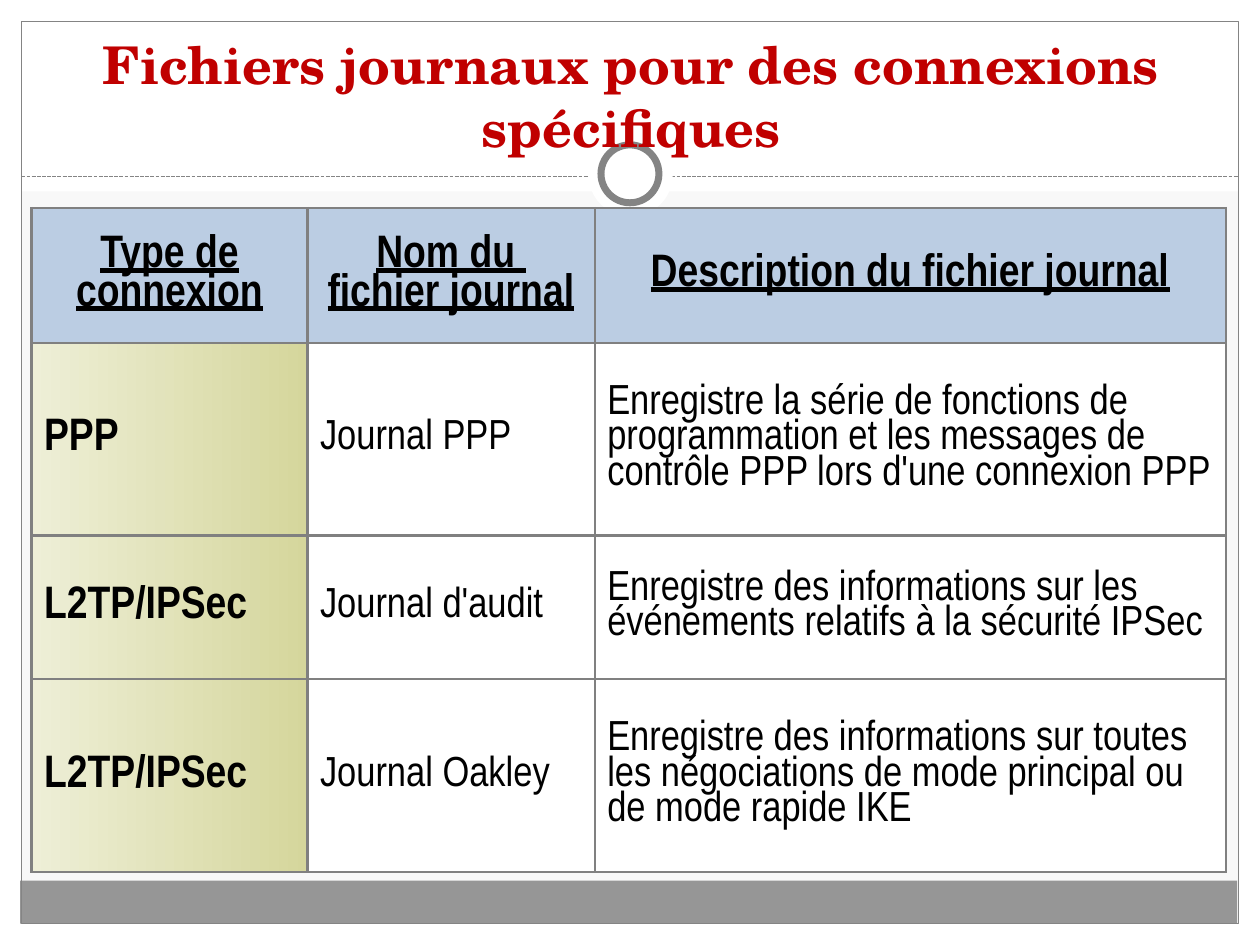
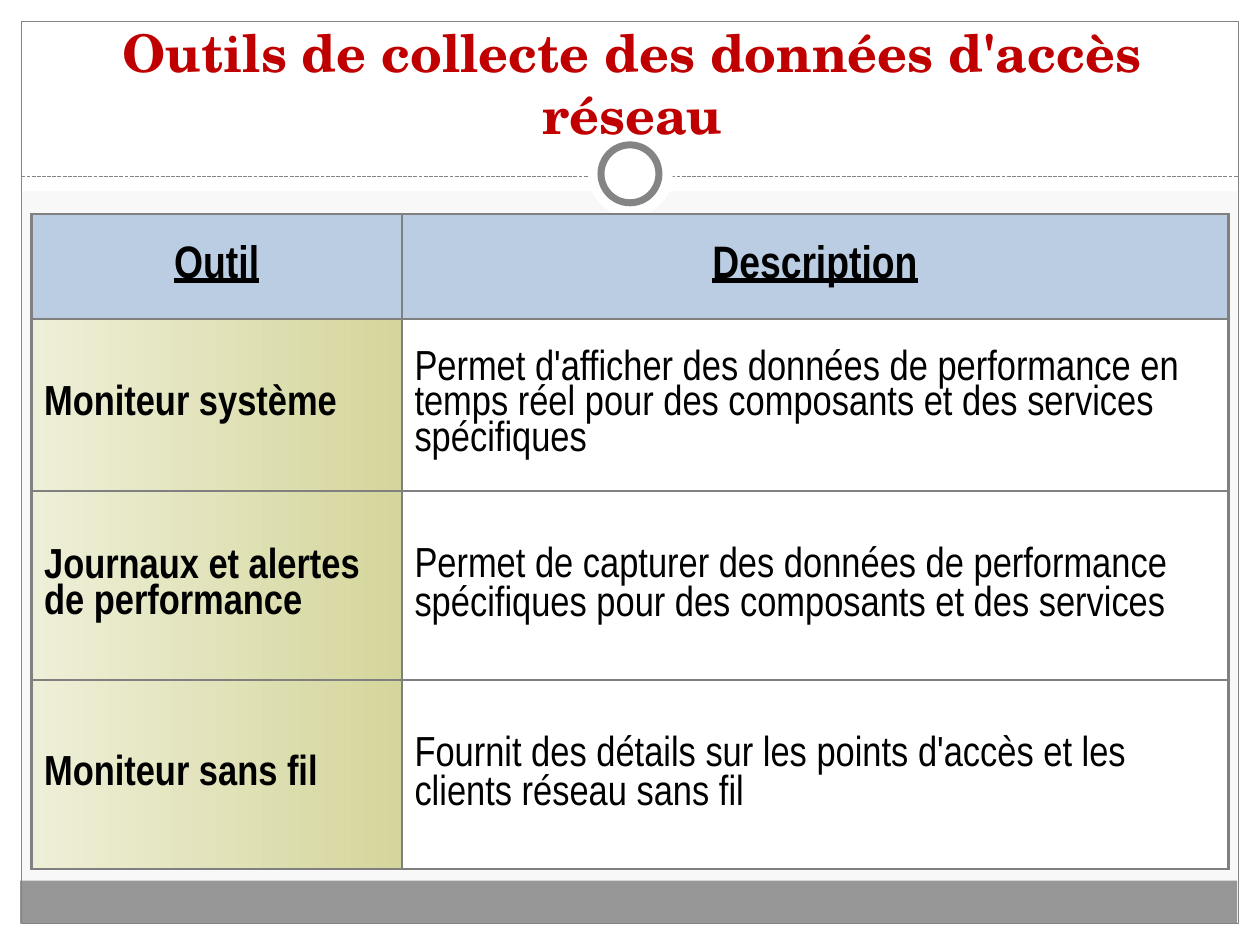
from lxml.etree import SubElement
from pptx import Presentation
from pptx.dml.color import RGBColor
from pptx.enum.dml import MSO_LINE_DASH_STYLE as Dash
from pptx.enum.shapes import MSO_CONNECTOR as Connector, MSO_SHAPE as Shape
from pptx.enum.text import MSO_ANCHOR as Anchor, PP_ALIGN as Align
from pptx.oxml.ns import qn
from pptx.util import Inches, Pt

# Shared look
BACKGROUND = RGBColor(0xF8, 0xF8, 0xF8)
WHITE = RGBColor(0xFF, 0xFF, 0xFF)
BLACK = RGBColor(0x00, 0x00, 0x00)
BAND = RGBColor(0x96, 0x96, 0x96)
RULE = RGBColor(0x84, 0x84, 0x84)
BORDER = RGBColor(0x80, 0x80, 0x80)
TITLE_RED = RGBColor(0xC0, 0x00, 0x00)
HEADER_BLUE = RGBColor(0xBB, 0xCD, 0xE3)
LABEL_GRADIENT = (RGBColor(0xEE, 0xEF, 0xD7), RGBColor(0xD5, 0xD6, 0x9C))

TITLE = {"name": "TeX Gyre Schola", "size": Pt(29.7), "bold": True}
BODY = {"name": "Arial Narrow", "size": Pt(24), "bold": False}
LABEL = {**BODY, "bold": True}
HEADER = {**LABEL, "size": Pt(26), "underline": True}

WIDTH, HEIGHT, MARGIN = 10, 7.5, 0.17
WHITE_EDGES = [
    (0, HEIGHT - MARGIN, WIDTH, MARGIN),
    (0, 0, WIDTH, 1.52),
    (0, 0, MARGIN, HEIGHT),
    (WIDTH - MARGIN, 0, MARGIN, HEIGHT),
]

# Slide content
LOG_FILES = {
    "title": "Fichiers journaux pour des connexions spécifiques",
    "title_at": (0.22, 0.19, 9.58, 1.11),
    "table_at": (0.25, 1.65),
    "columns": [2.19, 2.28, 5.01],
    "rows": [1.07, 1.53, 1.14, 1.53],
    "label_size": Pt(26),
    "cells": [
        ["Type de connexion", "Nom du \vfichier journal",
         "Description du fichier journal"],
        ["PPP", "Journal PPP",
         "Enregistre la série de fonctions de programmation et les messages "
         "de contrôle PPP lors d'une connexion PPP"],
        ["L2TP/IPSec", "Journal d'audit",
         "Enregistre des informations sur les événements relatifs à la "
         "sécurité IPSec"],
        ["L2TP/IPSec", "Journal Oakley",
         "Enregistre des informations sur toutes les négociations de mode "
         "principal ou de mode rapide IKE"],
    ],
}
TOOLS = {
    "title": "Outils de collecte des données d'accès réseau",
    "title_at": (0.23, 0.37, 9.58, 0.83),
    "table_at": (0.25, 1.7),
    "columns": [2.94, 6.56],
    "rows": [0.83, 1.37, 1.5, 1.5],
    "label_size": Pt(24),
    "single_spaced": {(2, 1), (3, 1)},
    "cells": [
        ["Outil", "Description"],
        ["Moniteur système",
         "Permet d'afficher des données de performance en temps réel pour "
         "des composants et des services spécifiques"],
        ["Journaux et alertes de performance",
         "Permet de capturer des données de performance spécifiques pour "
         "des composants et des services"],
        ["Moniteur sans fil",
         "Fournit des détails sur les points d'accès et les clients réseau "
         "sans fil"],
    ],
}


def write(para, text, style, color):
    para.text = text
    for span in para.runs:
        for name, value in style.items():
            setattr(span.font, name, value)
        span.font.color.rgb = color


def add_figure(page, kind, at, fill=None, line=None, weight=0.75):
    figure = page.shapes.add_shape(kind, *map(Inches, at))
    figure.shadow.inherit = False
    if fill is None:
        figure.fill.background()
    else:
        figure.fill.solid()
        figure.fill.fore_color.rgb = fill
    if line is None:
        figure.line.fill.background()
    else:
        figure.line.color.rgb = line
        figure.line.width = Pt(weight)


def add_dashed_rule(page, left, right, top):
    ends = map(Inches, (left, top, right, top))
    rule = page.shapes.add_connector(Connector.STRAIGHT, *ends)
    rule.line.color.rgb = RULE
    rule.line.width = Pt(0.75)
    rule.line.dash_style = Dash.SQUARE_DOT
    SubElement(rule._element.spPr, qn("a:effectLst"))


def add_frame(page):
    """Edges, bottom band, outline, dashed rule and ring."""
    page.background.fill.solid()
    page.background.fill.fore_color.rgb = BACKGROUND
    for edge in WHITE_EDGES:
        add_figure(page, Shape.RECTANGLE, edge, WHITE)
    add_figure(page, Shape.RECTANGLE, (0.16, 6.99, 9.66, 0.34), BAND)
    outline = (MARGIN, MARGIN, WIDTH - 2 * MARGIN, HEIGHT - 2 * MARGIN)
    add_figure(page, Shape.RECTANGLE, outline, line=RULE)
    add_dashed_rule(page, MARGIN, WIDTH - MARGIN, 1.4)
    add_figure(page, Shape.OVAL, (4.67, 1.05, 0.67, 0.67), WHITE)
    add_figure(page, Shape.OVAL, (4.77, 1.15, 0.46, 0.46), WHITE, RULE, 4)


def add_title(page, text, at):
    frame = page.shapes.add_textbox(*map(Inches, at)).text_frame
    frame.word_wrap = True
    frame.vertical_anchor = Anchor.BOTTOM
    para = frame.paragraphs[0]
    para.alignment = Align.CENTER
    write(para, text, TITLE, TITLE_RED)


def add_borders(cell):
    properties = cell._tc.get_or_add_tcPr()
    for position, side in enumerate(("lnL", "lnR", "lnT", "lnB")):
        line = SubElement(properties, qn(f"a:{side}"), w=str(Pt(1.5)))
        fill = SubElement(line, qn("a:solidFill"))
        SubElement(fill, qn("a:srgbClr"), val=str(BORDER))
        properties.insert(position, line)


def fill_cell(cell, row, column):
    if row > 0 and column == 0:
        cell.fill.gradient()
        cell.fill.gradient_angle = 0
        for stop, color in zip(cell.fill.gradient_stops, LABEL_GRADIENT):
            stop.color.rgb = color
    else:
        cell.fill.solid()
        cell.fill.fore_color.rgb = WHITE if row else HEADER_BLUE


def add_grid(page, content):
    columns, rows = content["columns"], content["rows"]
    size = (*content["table_at"], sum(columns), sum(rows))
    table = page.shapes.add_table(
        len(rows), len(columns), *map(Inches, size)).table
    table.first_row = table.horz_banding = False
    for column, width in zip(table.columns, columns):
        column.width = Inches(width)
    for row, height in zip(table.rows, rows):
        row.height = Inches(height)

    label = {**LABEL, "size": content["label_size"]}
    for i, texts in enumerate(content["cells"]):
        for j, text in enumerate(texts):
            cell = table.cell(i, j)
            cell.vertical_anchor = Anchor.MIDDLE
            fill_cell(cell, i, j)
            add_borders(cell)
            para = cell.text_frame.paragraphs[0]
            para.alignment = Align.LEFT if i else Align.CENTER
            if (i, j) not in content.get("single_spaced", ()):
                para.line_spacing = 0.9
            style = HEADER if i == 0 else label if j == 0 else BODY
            write(para, text, style, BLACK)


def main():
    deck = Presentation()
    deck.slide_width, deck.slide_height = Inches(WIDTH), Inches(HEIGHT)
    for content in (LOG_FILES, TOOLS):
        page = deck.slides.add_slide(deck.slide_layouts[6])
        add_frame(page)
        add_title(page, content["title"], content["title_at"])
        add_grid(page, content)
    deck.save("out.pptx")


if __name__ == "__main__":
    main()
